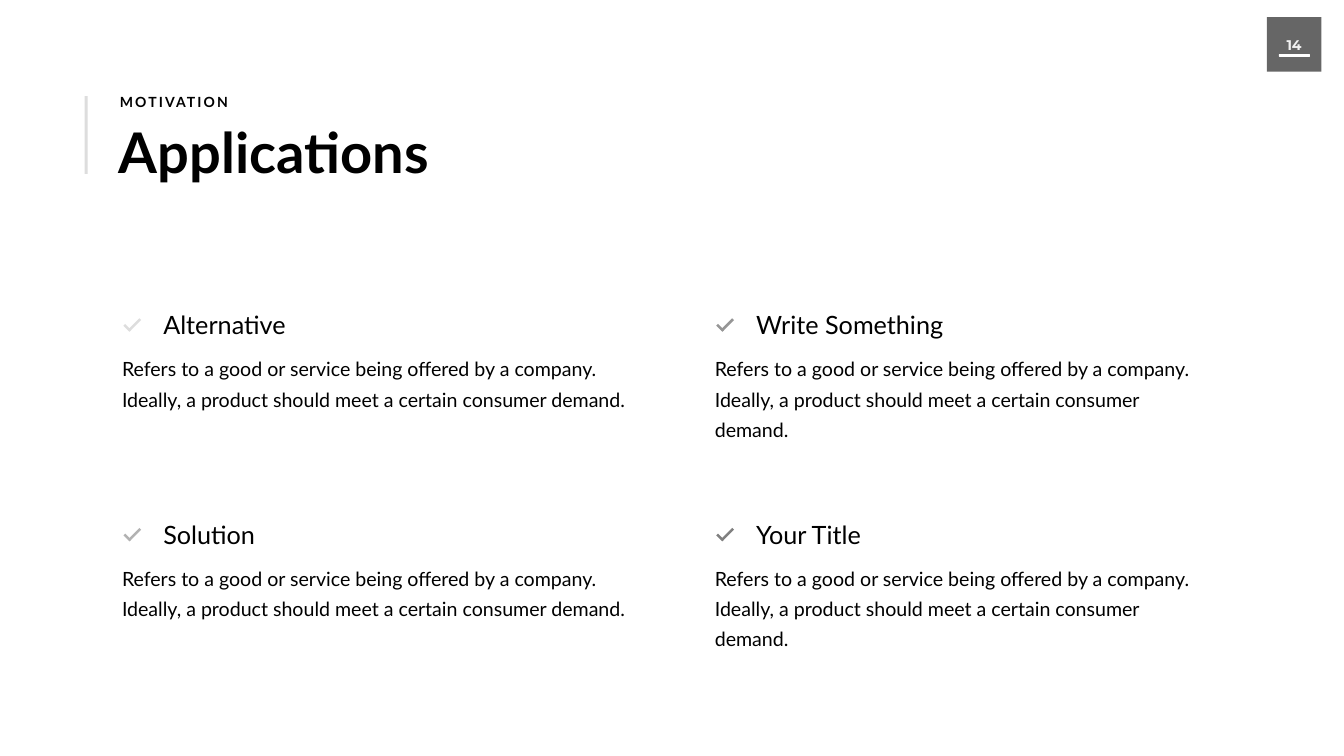
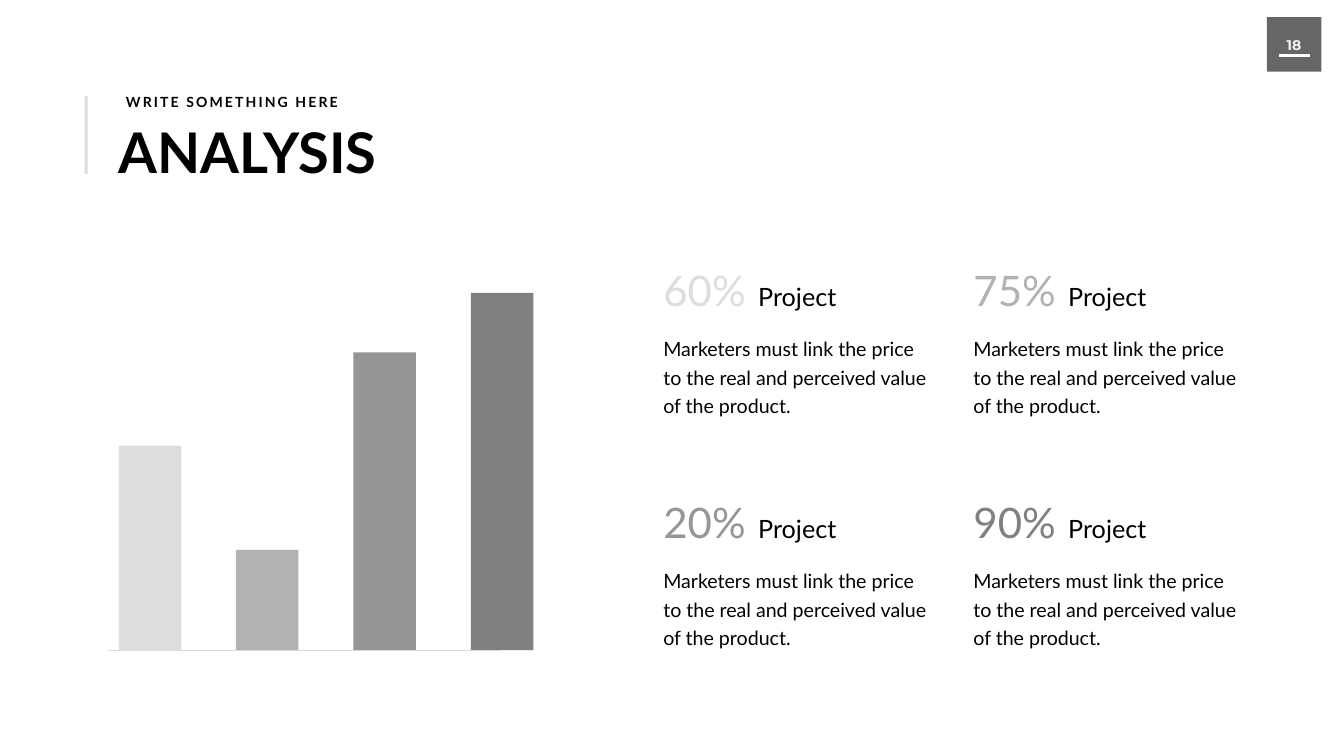
import lxml.etree
import pptx
import pptx.dml.color
import pptx.enum.shapes
import pptx.enum.text
import pptx.oxml.ns
import pptx.util

PT = pptx.util.Pt
ALIGN = pptx.enum.text.PP_ALIGN
QN = pptx.oxml.ns.qn


class Theme:
    ink, paper, pale = "000000", "FFFFFF", "F2F2F2"
    axis = "D9D9D9"
    greys = ["DDDDDD", "B2B2B2", "969696", "808080"]
    main, badge = "Lato", "Montserrat"
    title = {"size": PT(80), "bold": True}
    label = {"size": PT(20), "bold": True}
    head = {"size": PT(36)}
    body = {"size": PT(28)}
    large = {"size": PT(60)}
    loose = {"line_spacing": PT(43), "space_before": PT(5.6)}
    tight = {"line_spacing": PT(40.8)}
    mid = {"alignment": ALIGN.CENTER}


class Deck:
    """Holds the style and the current slide, and draws each kind of element."""

    scale = 9144

    def __init__(self, theme):
        self.theme = theme
        self.file = pptx.Presentation()
        self.file.slide_width, self.file.slide_height = self.emu(2666, 1500)
        self.slide = None

    def emu(self, *px):
        return [pptx.util.Emu(n * self.scale) for n in px]

    def rgb(self, code):
        return pptx.dml.color.RGBColor.from_string(code)

    def apply(self, item, form):
        for key, value in form.items():
            setattr(item, key, value)

    def fill(self, shape, words, font, para=None, frame=None, color=None, face=None, track=0):
        box = shape.text_frame
        self.apply(box, {
            "word_wrap": False,
            "auto_size": pptx.enum.text.MSO_AUTO_SIZE.SHAPE_TO_FIT_TEXT,
            "vertical_anchor": pptx.enum.text.MSO_ANCHOR.TOP,
            **(frame or {}),
        })
        line = box.paragraphs[0]
        self.apply(line, {"alignment": ALIGN.LEFT, **(para or {})})
        run = line.add_run()
        run.text = words
        self.apply(run.font, {"name": face or self.theme.main, **font})
        run.font.color.rgb = self.rgb(color or self.theme.ink)
        if track:
            run.font._element.set("spc", str(track))

    def text(self, place, words, font, **form):
        self.fill(self.slide.shapes.add_textbox(*self.emu(*place)), words, font, **form)

    def rect(self, place, color, turn=0, alpha=None, edge=None):
        kind = pptx.enum.shapes.MSO_SHAPE.RECTANGLE
        shape = self.slide.shapes.add_shape(kind, *self.emu(*place))
        shape.shadow.inherit = False
        shape.rotation = turn
        shape.fill.solid()
        shape.fill.fore_color.rgb = self.rgb(color)
        if alpha:
            node = shape._element.spPr.find(".//" + QN("a:srgbClr"))
            lxml.etree.SubElement(node, QN("a:alpha")).set("val", str(alpha * 1000))
        if edge:
            shape.line.color.rgb = self.rgb(color)
            shape.line.width = PT(edge)
        else:
            shape.line.fill.background()

    def rule(self, ends, color, width):
        kind = pptx.enum.shapes.MSO_CONNECTOR.STRAIGHT
        line = self.slide.shapes.add_connector(kind, *self.emu(*ends))
        line.line.color.rgb = self.rgb(color)
        line.line.width = PT(width)
        lxml.etree.SubElement(line._element.spPr, QN("a:effectLst"))

    def tick(self, left, top, color):
        self.rect((left, top, 17, 5), color, turn=45)
        self.rect((left + 7, top - 6, 32, 5), color, turn=315)

    def page(self, number, title, width, label, place):
        look = self.theme
        self.slide = self.file.slides.add_slide(self.file.slide_layouts[5])
        self.rect((2513, 34, 108, 108), look.ink, alpha=60)
        self.text((2524, 62, 86, 54), number, look.label, para=look.mid,
                  color=look.pale, face=look.badge,
                  frame=dict(zip(("margin_top", "margin_bottom"), self.emu(10, 10))))
        self.rect((2537, 108, 60, 4), look.paper, edge=1)
        head = self.slide.shapes.title
        self.apply(head, dict(zip(("left", "top", "width", "height"),
                                  self.emu(226, 229, width, 145))))
        self.fill(head, title, look.title)
        self.text(place, label, look.label, para=look.mid, track=300)
        self.rect((168, 191, 6, 154), look.greys[0])


def uses(deck):
    look = deck.theme
    deck.page("14", "Applications", 678, "MOTIVATION", (226, 181, 238, 44))
    note = ("Refers to a good or service being offered by a company. "
            "Ideally, a product should meet a certain consumer demand.")
    sides = ("margin_left", "margin_top", "margin_right", "margin_bottom")
    frame = {"word_wrap": True, **dict(zip(sides, deck.emu(24, 12, 24, 12)))}
    heads = ["Alternative", "Solution", "Write Something", "Your Title"]
    for spot, (head, grey) in enumerate(zip(heads, look.greys)):
        col, row = divmod(spot, 2)
        left, top = 218 + 1176 * col, 609 + 416 * row
        deck.text((left, top + 75, 1048 - 8 * col, 138), note, look.body,
                  para=look.loose, frame=frame)
        deck.text((left + 96, top, 615, 71), head, look.head, frame={"word_wrap": True})
        deck.tick(left + 26, top + 39, grey)


def study(deck):
    look = deck.theme
    deck.page("18", "ANALYSIS", 550, "WRITE SOMETHING HERE", (236, 181, 448, 44))
    note = "Marketers must link the price to the real and perceived value of the product."
    for spot, (share, grey) in enumerate(zip(["60%", "75%", "20%", "90%"], look.greys)):
        row, col = divmod(spot, 2)
        left, top = 1306 + 615 * col, 520 + 460 * row
        deck.text((left, top, 185, 111), share, look.large, color=grey)
        deck.text((left + 188, top + 33, 178, 71), "Project", look.head)
        deck.text((left, top + 134, 554 - 6 * col, 177), note, look.body,
                  para=look.tight, frame={"word_wrap": True})
    base = 1290
    for spot, (tall, grey) in enumerate(zip([406, 199, 591, 709], look.greys)):
        deck.rect((236 + spot * 698 // 3, base - tall, 124, tall), grey)
    deck.rule((214, base + 1, 991, base + 1), look.axis, 0.5)


def main():
    deck = Deck(Theme())
    uses(deck)
    study(deck)
    deck.file.save("out.pptx")


if __name__ == "__main__":
    main()
